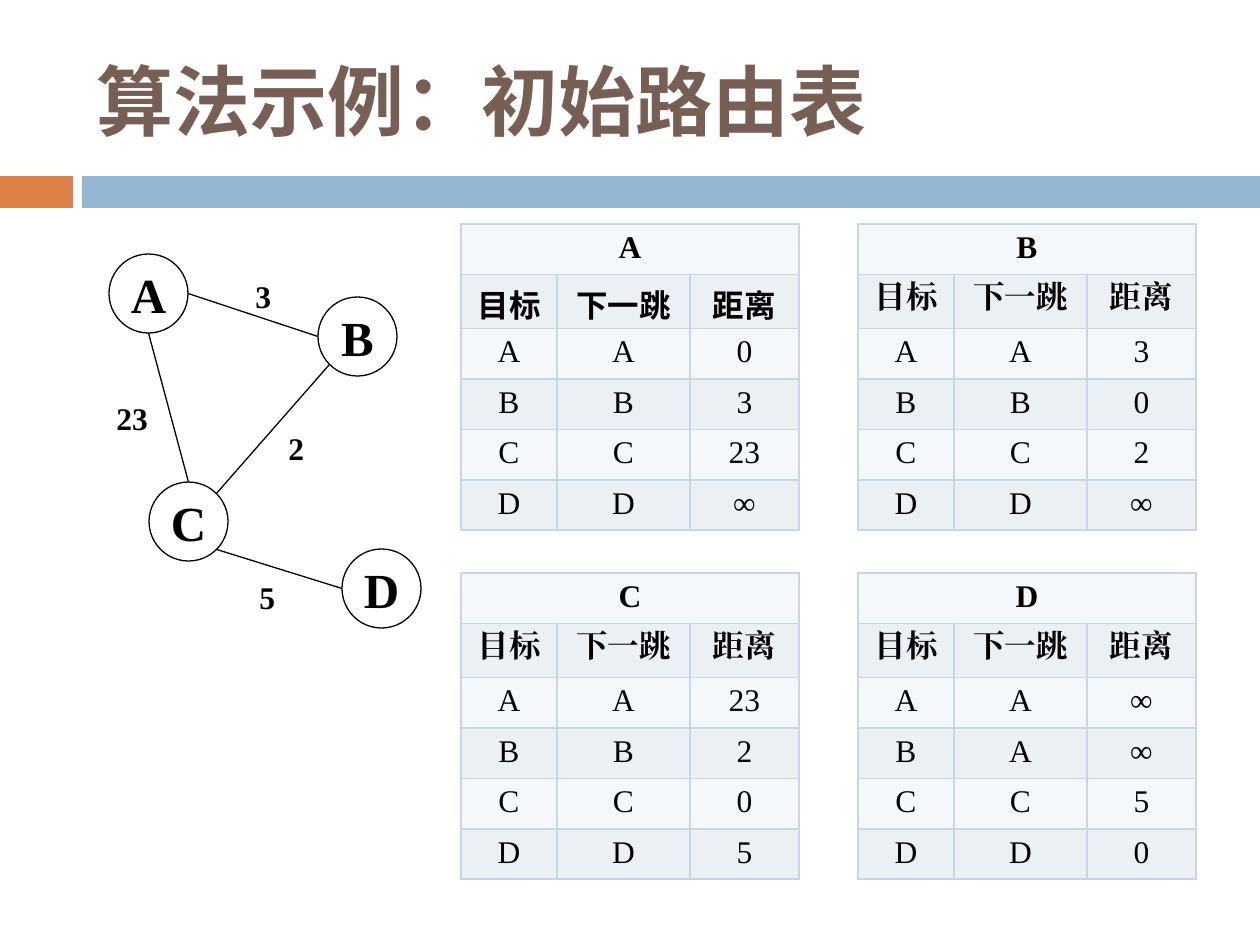
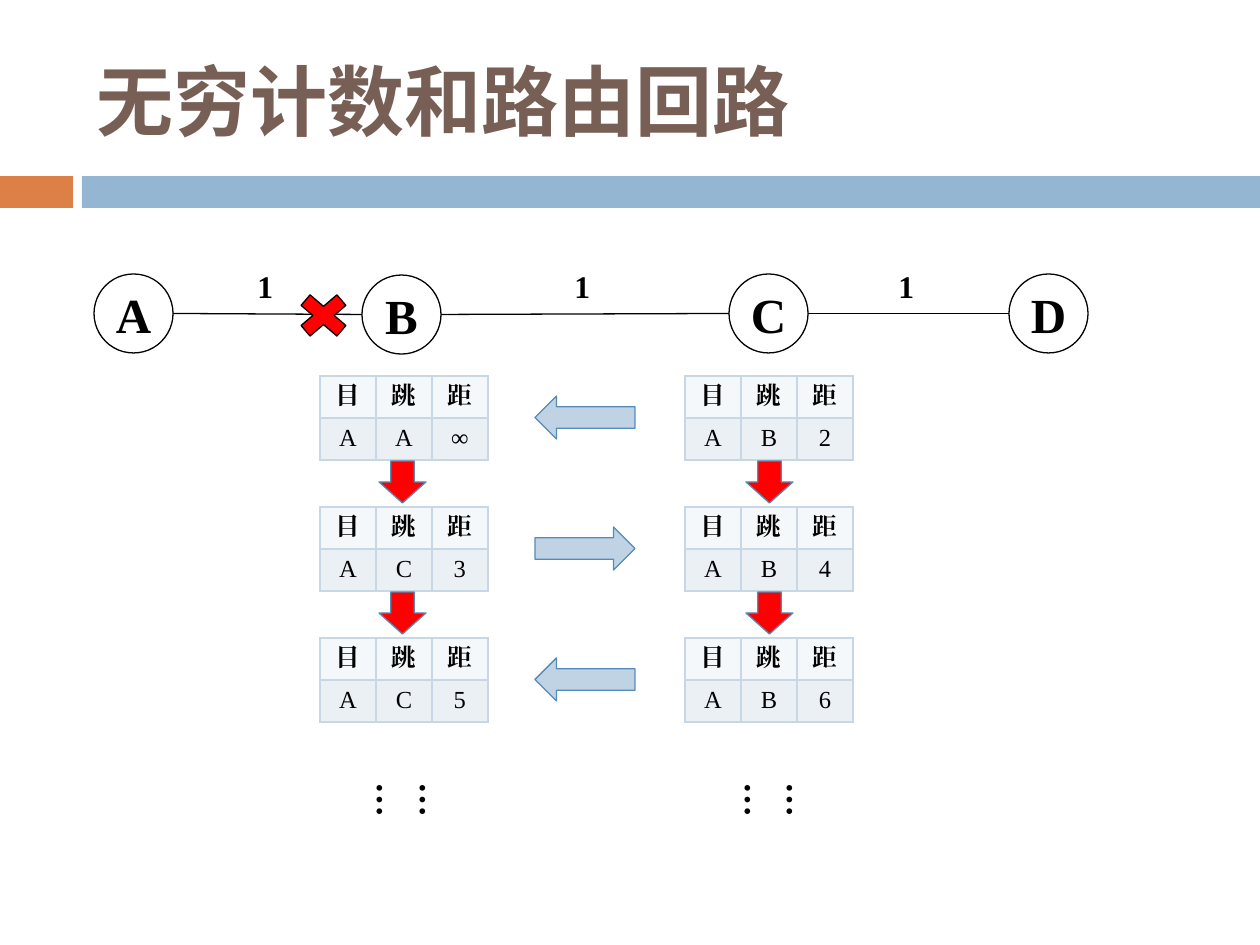
"""Two slides on distance-vector routing: first tables, then counting to infinity."""
from dataclasses import dataclass
from math import cos, radians, sin

from pptx import Presentation
from pptx import util as u
from pptx.dml.color import RGBColor
from pptx.enum import shapes, text
from pptx.oxml.ns import qn
from lxml import etree

SCALE = 914400 / 126
KIND = shapes.MSO_SHAPE
NODE = 79  # diameter of a network node
SIDES = {"right": 0, "low right": 45, "bottom": 90, "low left": 135,
         "left": 180, "top": 270, "high right": 315}


@dataclass(frozen=True)
class Theme:
    """Colours, fonts and type sizes of the deck."""
    black: str = "000000"
    title: str = "775F55"
    orange: str = "DD8047"
    band: str = "94B6D2"
    red: str = "FF0000"
    arrow: str = "BFD3E4"
    arrow_edge: str = "558BB8"
    border: str = "C8D7E5"
    stripes: tuple = ("F5F8FA", "EBF0F5")
    latin: str = "Times New Roman"
    chinese: str = "Noto Sans CJK SC"
    title_size: int = 44
    node_size: int = 28
    dots_size: int = 20
    body_size: int = 18
    small_size: int = 14


THEME = Theme()


def px(*lengths):
    """Turn pixels into a list of EMU lengths."""
    return [u.Emu(round(length * SCALE)) for length in lengths]


def rgb(colour):
    """Turn a hex string into a colour."""
    return RGBColor.from_string(colour)


def write(frame, words, size=THEME.body_size, font=THEME.latin, east=None,
          colour=THEME.black, bold=True, center=False):
    """Put one formatted run into a text frame."""
    para = frame.paragraphs[0]
    para.alignment = text.PP_ALIGN.CENTER if center else text.PP_ALIGN.LEFT
    span = para.add_run()
    span.text = words
    span.font.size, span.font.bold, span.font.name = u.Pt(size), bold, font
    span.font.color.rgb = rgb(colour)
    latin = span.font._element.find(qn("a:latin"))
    asian = etree.Element(qn("a:ea"), typeface=east or font)
    latin.addnext(asian)


def add_text(page, words, at, wrap=False, middle=False, upright=False, **style):
    """Add a text box; upright sets East Asian vertical text."""
    frame = page.shapes.add_textbox(*px(*at)).text_frame
    frame.word_wrap = wrap
    if middle:
        frame.vertical_anchor = text.MSO_ANCHOR.MIDDLE
    if upright:
        frame._txBody.bodyPr.set("vert", "eaVert")
    write(frame, words, **style)


def add_shape(page, kind, at, fill=None, line=None, turn=0):
    """Add a preset shape without shadow."""
    shape = page.shapes.add_shape(kind, *px(*at))
    shape.shadow.inherit = False
    shape.rotation = turn
    if fill:
        shape.fill.solid()
        shape.fill.fore_color.rgb = rgb(fill)
    else:
        shape.fill.background()
    if line:
        shape.line.color.rgb = rgb(line)
        shape.line.width = u.Pt(0.75)
    else:
        shape.line.fill.background()
    return shape


def add_nodes(page, places):
    """Draw the lettered circles of a network."""
    for name, (left, top) in places.items():
        node = add_shape(page, KIND.OVAL, (left, top, NODE, NODE), line=THEME.black)
        frame = node.text_frame
        frame.word_wrap = False
        frame.vertical_anchor = text.MSO_ANCHOR.MIDDLE
        write(frame, name, size=THEME.node_size, center=True)


def rim(place, side):
    """Find the point of a node's rim on the given side."""
    angle = radians(SIDES[side])
    return [start + NODE / 2 * (1 + turn(angle)) for start, turn in zip(place, (cos, sin))]


def add_links(page, places, links):
    """Join nodes by lines, each with its cost beside it."""
    for first, side, second, other, cost, label in links:
        ends = rim(places[first], side) + rim(places[second], other)
        line = page.shapes.add_connector(shapes.MSO_CONNECTOR.STRAIGHT, *px(*ends))
        line.line.color.rgb = rgb(THEME.black)
        line.line.width = u.Pt(0.75)
        etree.SubElement(line._element.spPr, qn("a:effectLst"))
        add_text(page, cost, (*label, 23 + 23 * len(cost), 50))


def style_cell(cell, fill):
    """Fill a cell and give it thin borders."""
    props = cell._tc.get_or_add_tcPr()
    for side in ("lnL", "lnR", "lnT", "lnB"):
        edge = etree.SubElement(props, qn("a:" + side), w=str(u.Pt(1)))
        paint = etree.SubElement(edge, qn("a:solidFill"))
        etree.SubElement(paint, qn("a:srgbClr"), val=THEME.border)
    cell.fill.solid()
    cell.fill.fore_color.rgb = rgb(fill)


def add_grid(page, place, rows, widths, heights, heads, **style):
    """Add a striped table whose first rows, heads in number, are bold."""
    size = (sum(widths), sum(heights))
    grid = page.shapes.add_table(len(rows), len(widths), *px(*place, *size)).table
    grid.first_row = grid.horz_banding = False
    for column, width in zip(grid.columns, px(*widths)):
        column.width = width
    for row, height in zip(grid.rows, px(*heights)):
        row.height = height
    for index, row in enumerate(rows):
        for place_in_row in range(len(widths)):
            style_cell(grid.cell(index, place_in_row), THEME.stripes[index % 2])
        if len(row) == 1:
            grid.cell(index, 0).merge(grid.cell(index, len(widths) - 1))
        for column, words in enumerate(row):
            write(grid.cell(index, column).text_frame, words,
                  bold=index < heads, center=True, **style)


def add_page(deck, title):
    """Start a slide with the shared bands and title."""
    page = deck.slides.add_slide(deck.slide_layouts[6])
    add_shape(page, KIND.RECTANGLE, (0, 176, 73, 32), fill=THEME.orange)
    add_shape(page, KIND.RECTANGLE, (82, 176, 1178, 32), fill=THEME.band)
    add_text(page, title, (84, 32, 1124, 136), wrap=True, middle=True,
             size=THEME.title_size, font=THEME.chinese, colour=THEME.title)
    return page


def initial_tables(deck):
    """Slide 1: the network and each node's first routing table."""
    page = add_page(deck, "算法示例：初始路由表")
    places = {"A": (109, 254), "B": (318, 297), "C": (149, 482), "D": (342, 549)}
    add_nodes(page, places)
    add_links(page, places, [
        ("A", "right", "B", "left", "3", (243, 271)),
        ("A", "bottom", "C", "top", "23", (104, 393)),
        ("B", "low left", "C", "high right", "2", (276, 423)),
        ("C", "low right", "D", "left", "5", (247, 572)),
    ])
    routes = {  # next hops and distances to A, B, C, D
        "A": ("ABCD", ("0", "3", "23", "∞")),
        "B": ("ABCD", ("3", "0", "2", "∞")),
        "C": ("ABCD", ("23", "2", "0", "5")),
        "D": ("AACD", ("∞", "∞", "5", "0")),
    }
    for index, (name, (hops, distances)) in enumerate(routes.items()):
        down, across = divmod(index, 2)
        rows = [(name,), ("目标", "下一跳", "距离"), *zip("ABCD", hops, distances)]
        add_grid(page, (461 + 397 * across, 224 + 349 * down), rows,
                 widths=(96, 133, 109), heights=(50.4, 54) + (50.4,) * 4, heads=2,
                 east=THEME.chinese if name == "A" else None)


def count_to_infinity(deck):
    """Slide 2: B and C raise their distance to A after a link fails."""
    page = add_page(deck, "无穷计数和路由回路")
    places = {"A": (94, 274), "B": (362, 275), "C": (729, 274), "D": (1009, 274)}
    add_nodes(page, places)
    add_links(page, places, [
        (first, "right", second, "left", "1", (left, 261))
        for first, second, left in (("A", "B", 245), ("B", "C", 562), ("C", "D", 886))
    ])
    add_shape(page, KIND.MATH_MULTIPLY, (289, 286, 69, 59), THEME.red, THEME.black)

    steps = [(("A", "∞"), ("B", "2")), (("C", "3"), ("B", "4")), (("C", "5"), ("B", "6"))]
    for index, step in enumerate(steps):
        top = 376 + 131 * index
        add_shape(page, KIND.LEFT_ARROW, (535, top + 20, 100, 43),
                  THEME.arrow, THEME.arrow_edge, turn=180 * (index % 2))
        for left, node, route in zip((320, 685), "BC", step):
            add_grid(page, (left, top), [("目", "跳", "距"), ("A", *route)],
                     widths=(56,) * 3, heights=(42,) * 2, heads=1, size=THEME.small_size)
            if index < len(steps) - 1:
                add_shape(page, KIND.DOWN_ARROW, (places[node][0] + 17, top + 85, 47, 42),
                          THEME.red, THEME.arrow_edge)
    for node in "BC":
        add_text(page, "……", (places[node][0] + 6, 770, 68, 89), wrap=True, middle=True,
                 upright=True, size=THEME.dots_size, font=THEME.chinese)


def main():
    """Build and save the deck."""
    deck = Presentation()
    deck.slide_width, deck.slide_height = px(1260, 945)
    initial_tables(deck)
    count_to_infinity(deck)
    deck.save("out.pptx")


main()
